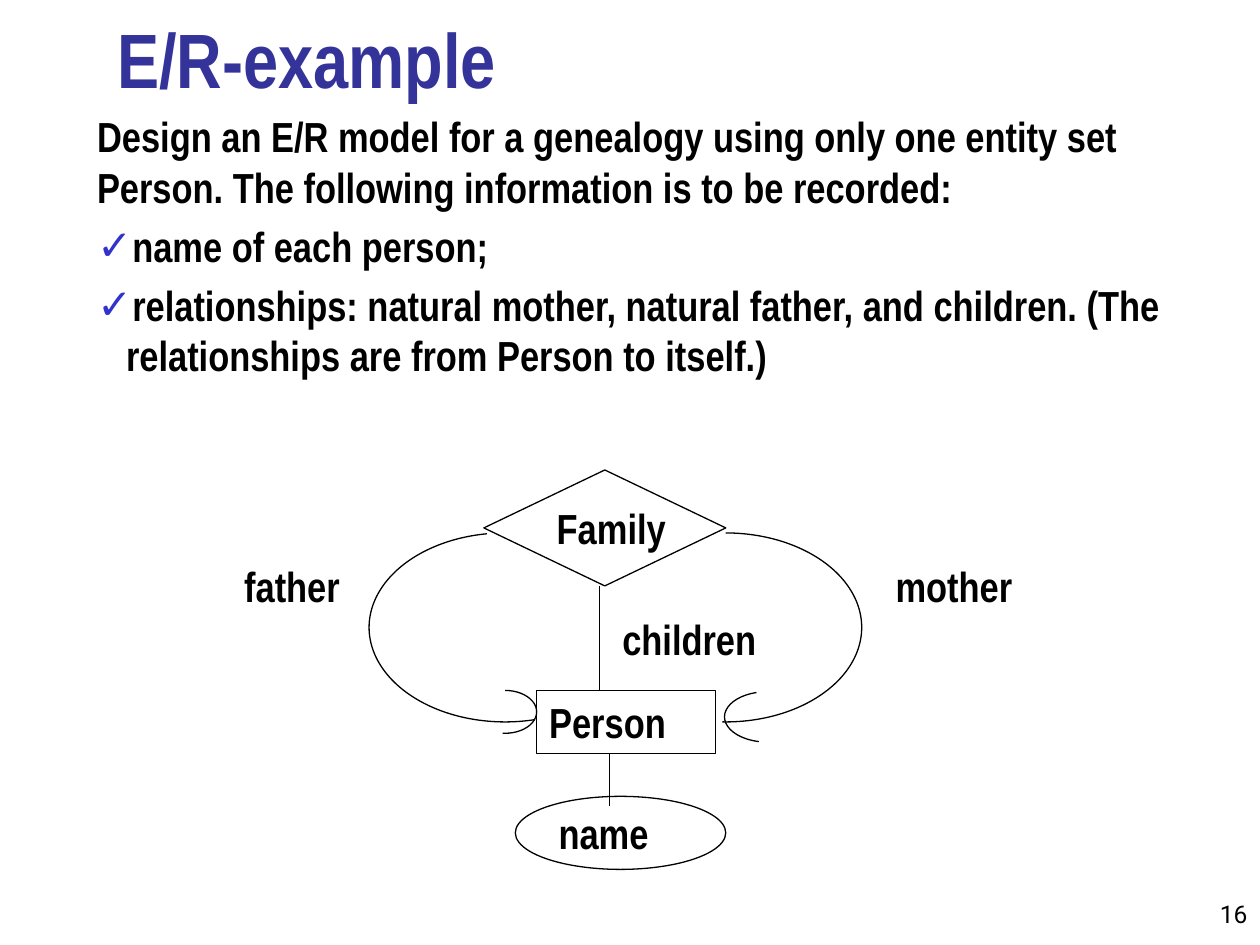
from lxml.etree import SubElement
from pptx import Presentation
from pptx.dml.color import RGBColor
from pptx.enum.shapes import MSO_CONNECTOR as CONNECTOR, MSO_SHAPE as SHAPE
from pptx.enum.text import MSO_ANCHOR as ANCHOR, MSO_AUTO_SIZE as AUTO_SIZE, PP_ALIGN as ALIGN
from pptx.oxml.ns import qn
from pptx.util import Inches, Pt

COLORS = {"title": "333399", "check": "3333CC", "ink": "000000"}
FONT = "Arial Narrow"


def inches(*lengths):
    """Turn plain numbers into slide lengths."""
    return [Inches(length) for length in lengths]


def write(paragraph, words, size=24, color="ink", font=FONT, bold=True, align=ALIGN.LEFT):
    """Add one formatted run to a paragraph."""
    paragraph.alignment = align
    run = paragraph.add_run()
    run.text = words
    run.font.name, run.font.size, run.font.bold = font, Pt(size), bold
    run.font.color.rgb = RGBColor.from_string(COLORS[color])


def place(placeholder, box, anchor):
    """Move a placeholder to a box and fix its text frame."""
    placeholder.left, placeholder.top, placeholder.width, placeholder.height = inches(*box)
    frame = placeholder.text_frame
    frame.word_wrap, frame.auto_size = True, AUTO_SIZE.NONE
    frame.vertical_anchor = anchor
    return frame


def indent(paragraph, hanging, check=None):
    """Set a hanging indent and, if given, a check mark bullet."""
    properties = paragraph._p.get_or_add_pPr()
    properties.set("marL", str(Inches(hanging)))
    properties.set("indent", str(-Inches(hanging)))
    if check:
        tint = SubElement(properties, qn("a:buClr"))
        SubElement(tint, qn("a:srgbClr"), val=COLORS["check"])
        SubElement(properties, qn("a:buChar"), char=check)
    else:
        SubElement(properties, qn("a:buNone"))


def build_heading(slide, box):
    """Fill the title."""
    frame = place(slide.shapes.title, box, ANCHOR.MIDDLE)
    write(frame.paragraphs[0], "E/R-example", 44, "title")


def build_task(slide, box, introduction, facts):
    """Fill the body with an introduction and checked facts."""
    frame = place(slide.placeholders[1], box, ANCHOR.TOP)
    opening = frame.paragraphs[0]
    indent(opening, 0)
    opening.space_before = Pt(0)
    write(opening, introduction)
    for fact in facts:
        item = frame.add_paragraph()
        indent(item, 0.23, "✓")
        item.space_before = Pt(5)
        write(item, fact)


def outline(shape):
    """Give a shape or connector a thin dark line."""
    shape.line.color.rgb = RGBColor.from_string(COLORS["ink"])
    shape.line.width = Pt(0.75)


def add_node(slide, kind, box, words):
    """Draw an unfilled diagram node with its name."""
    node = slide.shapes.add_shape(kind, *inches(*box))
    node.shadow.inherit = False
    node.fill.background()
    outline(node)
    frame = node.text_frame
    frame.word_wrap, frame.vertical_anchor = False, ANCHOR.MIDDLE
    write(frame.paragraphs[0], words)


def add_arc(slide, center, radii, start, end):
    """Draw a clockwise elliptic arc between two angles in degrees."""
    (x, y), (across, down) = center, radii
    arc = slide.shapes.add_shape(
        SHAPE.ARC, *inches(x - across, y - down, 2 * across, 2 * down))
    arc.adjustments[0], arc.adjustments[1] = start * 0.6, end * 0.6
    arc.shadow.inherit = False
    arc.fill.background()
    outline(arc)


def add_stem(slide, x, top, bottom):
    """Draw a vertical line."""
    stem = slide.shapes.add_connector(CONNECTOR.STRAIGHT, *inches(x, top, x, bottom))
    outline(stem)
    SubElement(stem._element.spPr, qn("a:effectLst"))


def add_label(slide, box, words, anchor=ANCHOR.TOP, **style):
    """Place a free-standing text."""
    frame = slide.shapes.add_textbox(*inches(*box)).text_frame
    frame.word_wrap, frame.vertical_anchor = True, anchor
    write(frame.paragraphs[0], words, **style)


def build_diagram(slide, box):
    """Draw the family diagram inside its box."""
    left, top, _, _ = box
    nodes = [
        (SHAPE.DIAMOND, 2, 0, 1.92, 0.92, "Family"),
        (SHAPE.RECTANGLE, 2.42, 1.75, 1.42, 0.5, "Person"),
        (SHAPE.OVAL, 2.25, 2.59, 1.67, 0.58, "name"),
    ]
    arcs = [
        (2.17, 1.25, 1.08, 0.75, 72, 259),
        (3.92, 1.25, 1.08, 0.75, 270, 92),
        (2.17, 1.92, 0.25, 0.17, 270, 97),
        (4.25, 1.96, 0.34, 0.2, 109, 246),
    ]
    stems = [(2.92, 0.92, 1.75), (3, 2.25, 2.67)]
    labels = [
        (0, 0.67, 1.17, "father"),
        (5.17, 0.67, 1.33, "mother"),
        (3, 1.09, 1.42, "children"),
    ]
    for kind, x, y, width, height, words in nodes:
        add_node(slide, kind, (left + x, top + y, width, height), words)
    for x, y, across, down, start, end in arcs:
        add_arc(slide, (left + x, top + y), (across, down), start, end)
    for x, start, end in stems:
        add_stem(slide, left + x, top + start, top + end)
    for x, y, width, words in labels:
        add_label(slide, (left + x, top + y, width, 0.5), words)


def main():
    """Build and save the slide."""
    deck = Presentation()
    deck.slide_width, deck.slide_height = inches(10, 7.5)
    slide = deck.slides.add_slide(deck.slide_layouts[1])
    build_heading(slide, (0.83, 0.08, 8.52, 0.75))
    build_task(
        slide, (0.67, 0.83, 9.14, 2.26),
        "Design an E/R model for a genealogy using only one entity set Person. "
        "The following information is to be recorded:",
        ["name of each person;",
         "relationships: natural mother, natural father, and children. "
         "(The relationships are from Person to itself.)"])
    build_diagram(slide, (1.84, 3.73, 6.5, 3.17))
    add_label(slide, (9.33, 6.92, 0.67, 0.5), "16", ANCHOR.BOTTOM,
              size=14, font="Roboto", bold=False, align=ALIGN.RIGHT)
    deck.save("out.pptx")


if __name__ == "__main__":
    main()
